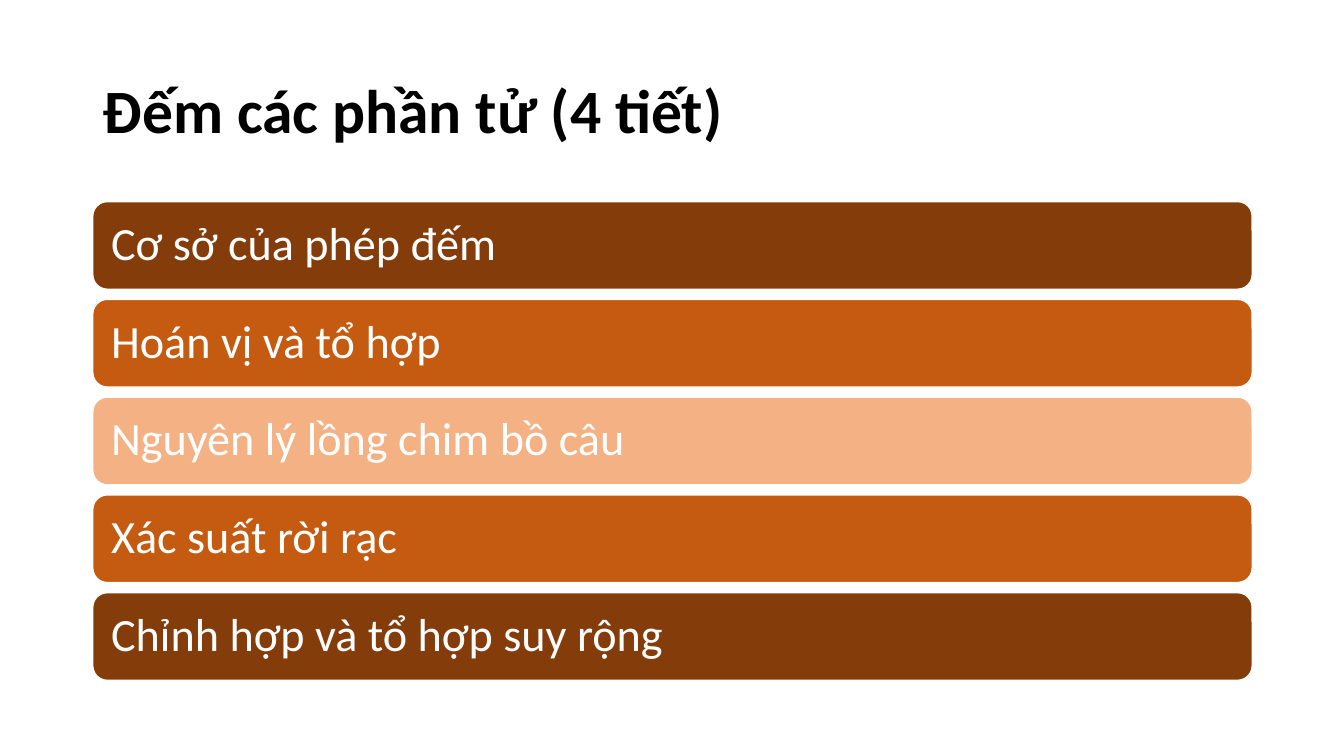
from pptx import Presentation
from pptx.dml.color import RGBColor
from pptx.enum.shapes import MSO_SHAPE
from pptx.enum.text import MSO_ANCHOR, PP_ALIGN
from pptx.util import Pt

PX = 9144  # EMU per px, 100 px to the inch
COLORS = {
    "background": "FFFFFF",
    "title": "000000",
    "bar_text": "FFFFFF",
    "outline": "FFFFFF",
    "dark": "843C0B",
    "medium": "C55A11",
    "light": "F4B183",
}
TITLE_FORMAT = {"name": "Calibri", "size": Pt(44), "bold": True}
BAR_FORMAT = {"name": "Calibri", "size": Pt(33), "bold": False}
TOPICS = [
    ("Cơ sở của phép đếm", "dark"),
    ("Hoán vị và tổ hợp", "medium"),
    ("Nguyên lý lồng chim bồ câu", "light"),
    ("Xác suất rời rạc", "medium"),
    ("Chỉnh hợp và tổ hợp suy rộng", "dark"),
]


def color(name):
    return RGBColor.from_string(COLORS[name])


def emu(*lengths):
    return [length * PX for length in lengths]


def write_text(shape, text, font_format, color_name, margins):
    """Fill a shape with one left-aligned, vertically centred line."""
    frame = shape.text_frame
    frame_format = {"word_wrap": True, "vertical_anchor": MSO_ANCHOR.MIDDLE}
    sides = ("margin_left", "margin_top", "margin_right", "margin_bottom")
    frame_format.update(zip(sides, emu(*margins)))
    for name, value in frame_format.items():
        setattr(frame, name, value)
    paragraph = frame.paragraphs[0]
    paragraph.alignment = PP_ALIGN.LEFT
    paragraph.line_spacing = 0.9
    run = paragraph.add_run()
    run.text = text
    for name, value in font_format.items():
        setattr(run.font, name, value)
    run.font.color.rgb = color(color_name)


def add_title(slide, text, left, top, width, height):
    shape = slide.shapes.add_textbox(*emu(left, top, width, height))
    write_text(shape, text, TITLE_FORMAT, "title", (10, 5, 10, 5))


def add_topic_bars(slide, topics, left, top, width, height, gap=10):
    """Stack equal rounded bars that fill the given box."""
    bar_height = (height - gap * (len(topics) - 1)) // len(topics)
    for index, (text, fill) in enumerate(topics):
        bar_top = top + index * (bar_height + gap)
        bar = slide.shapes.add_shape(
            MSO_SHAPE.ROUNDED_RECTANGLE, *emu(left, bar_top, width, bar_height))
        bar.shadow.inherit = False
        bar.fill.solid()
        bar.fill.fore_color.rgb = color(fill)
        bar.line.color.rgb = color("outline")
        bar.line.width = Pt(1)
        write_text(bar, text, BAR_FORMAT, "bar_text", (14, 14, 14, 14))


def main():
    presentation = Presentation()
    presentation.slide_width, presentation.slide_height = emu(1333, 750)
    slide = presentation.slides.add_slide(presentation.slide_layouts[6])
    slide.background.fill.solid()
    slide.background.fill.fore_color.rgb = color("background")

    # Heading above the list of topics
    add_title(slide, "Đếm các phần tử (4 tiết)", 92, 40, 1150, 145)
    add_topic_bars(slide, TOPICS, 92, 200, 1150, 475)

    presentation.save("out.pptx")


if __name__ == "__main__":
    main()
